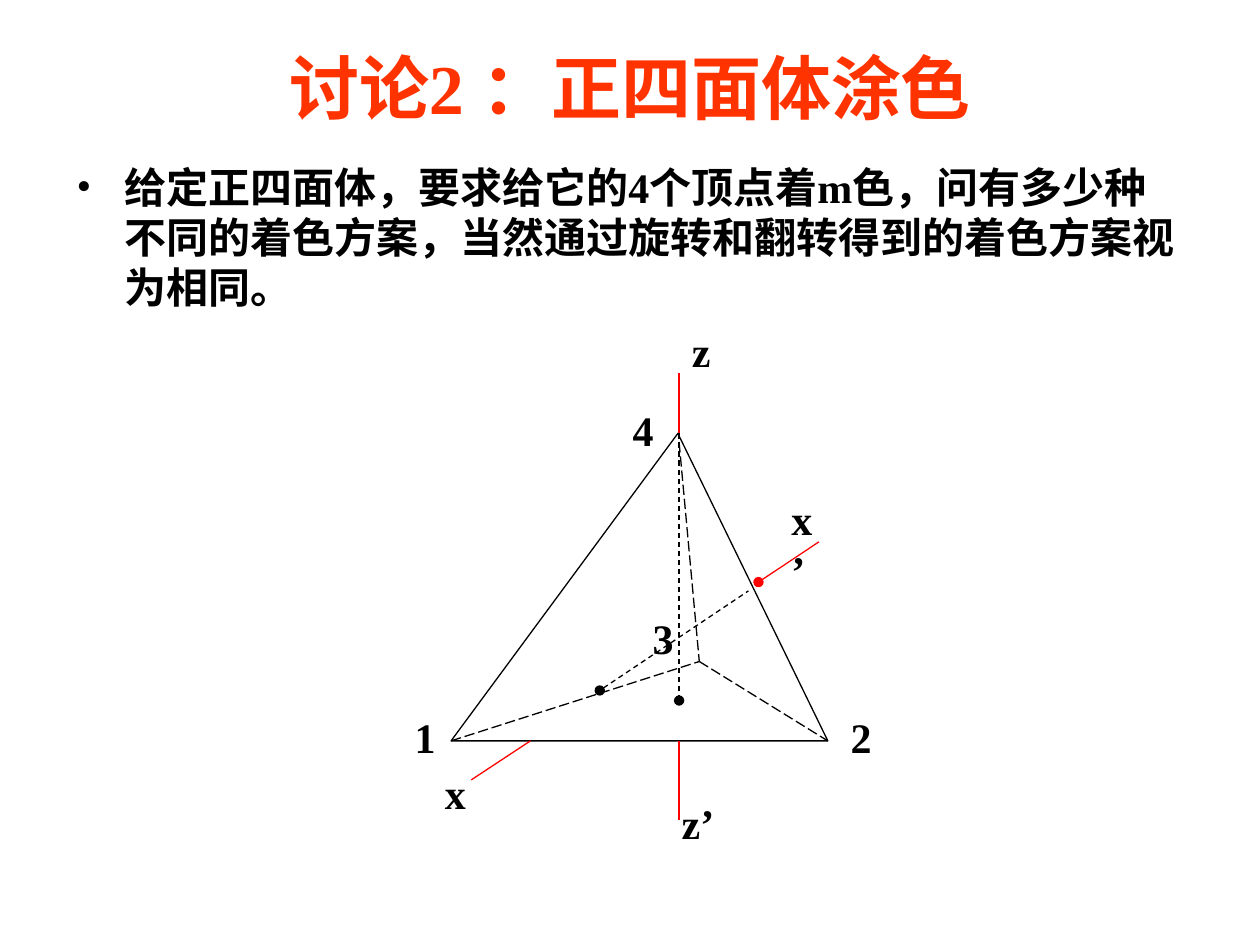
from lxml import etree
from pptx import Presentation
from pptx import util as u
from pptx.dml.color import RGBColor
from pptx.enum import dml, shapes, text
from pptx.oxml.ns import qn

COLORS = {"title": "FF3300", "ink": "000000", "axis": "FF0000"}
FONT = "Times New Roman"
DASH, LONG_DASH = dml.MSO_LINE.DASH, dml.MSO_LINE.LONG_DASH


def write(frame, words, size, color, margins):
    frame.text = words
    frame.word_wrap = True
    frame.auto_size = text.MSO_AUTO_SIZE.NONE
    frame.vertical_anchor = text.MSO_ANCHOR.TOP
    frame.margin_left = frame.margin_right = u.Inches(margins[0])
    frame.margin_top = frame.margin_bottom = u.Inches(margins[1])
    font = frame.paragraphs[0].runs[0].font
    font.name, font.size, font.bold = FONT, u.Pt(size), True
    font.color.rgb = RGBColor.from_string(COLORS[color])
    return frame.paragraphs[0]


def draw_line(start, end, color, dash=None, dot=None):
    segment = slide.shapes.add_connector(
        shapes.MSO_CONNECTOR.STRAIGHT, *[u.Inches(v) for v in start + end])
    segment.line.color.rgb = RGBColor.from_string(COLORS[color])
    segment.line.width = u.Pt(0.75)
    if dash:
        segment.line.dash_style = dash
    if dot:
        etree.SubElement(segment.line._get_or_add_ln(), qn(f"a:{dot}"), type="oval")
    etree.SubElement(segment._element.spPr, qn("a:effectLst"))


prs = Presentation()
prs.slide_width, prs.slide_height = u.Inches(10), u.Inches(7.5)
slide = prs.slides.add_slide(prs.slide_layouts[5])

title = slide.shapes.title
title.left, title.top = u.Inches(0.5), u.Inches(0.3)
title.width, title.height = u.Inches(9), u.Inches(0.93)
heading = write(title.text_frame, "讨论2 ：正四面体涂色", 40, "title", (0.1, 0.05))
heading.alignment = text.PP_ALIGN.CENTER

problem = slide.shapes.add_textbox(u.Inches(0.51), u.Inches(1.23), u.Inches(9), u.Inches(1.89))
question = write(
    problem.text_frame,
    "给定正四面体，要求给它的4个顶点着m色，问有多少种不同的着色方案，"
    "当然通过旋转和翻转得到的着色方案视为相同。",
    24, "ink", (0.1, 0.05))
question.space_before = u.Pt(6)
bullet = question._p.get_or_add_pPr()
bullet.set("marL", str(u.Inches(0.38)))
bullet.set("indent", str(-u.Inches(0.38)))
etree.SubElement(bullet, qn("a:buFont"), typeface=FONT)
etree.SubElement(bullet, qn("a:buChar"), char="•")

left_x, right_x, top_y, base_y = 3.58, 6.57, 3.44, 5.88
axis_x = 5.39
vertex1, vertex2, vertex3 = (left_x, base_y), (right_x, base_y), (5.55, 5.25)

front_face = slide.shapes.add_shape(
    shapes.MSO_SHAPE.ISOSCELES_TRIANGLE, u.Inches(left_x), u.Inches(top_y),
    u.Inches(right_x - left_x), u.Inches(base_y - top_y))
front_face.adjustments[0] = 0.602
front_face.shadow.inherit = False
front_face.fill.background()
front_face.line.color.rgb = RGBColor.from_string(COLORS["ink"])
front_face.line.width = u.Pt(0.75)

for start, end in [((axis_x, 3.51), vertex3), (vertex1, vertex3), (vertex3, vertex2)]:
    draw_line(start, end, "ink", LONG_DASH)

draw_line((axis_x, top_y), (axis_x, 5.56), "ink", DASH, "tailEnd")
for color in ("ink", "axis"):
    draw_line((axis_x, base_y), (axis_x, 6.51), color)
    draw_line((axis_x, 2.96), (axis_x, top_y), color)

draw_line((4.76, 5.48), (5.94, 4.69), "ink", DASH, "headEnd")
draw_line((6.02, 4.62), (6.5, 4.3), "axis", dot="headEnd")
draw_line((3.74, 6.19), (4.21, base_y), "axis")

labels = [
    ("1", 3.27, 5.64, 0.42), ("2", 6.73, 5.64, 0.42),
    ("3", 5.16, 4.85, 0.42), ("4", 5, 3.2, 0.42),
    ("z", 5.47, 2.57, 0.42), ("z’", 5.39, 6.32, 0.42),
    ("x", 3.51, 6.08, 0.42), ("x’", 6.26, 3.91, 0.82),
]
for name, x, y, height in labels:
    label = slide.shapes.add_textbox(u.Inches(x), u.Inches(y), u.Inches(0.31), u.Inches(height))
    write(label.text_frame, name, 24, "ink", (0.02, 0.01)).space_before = u.Pt(15)

prs.save("out.pptx")
